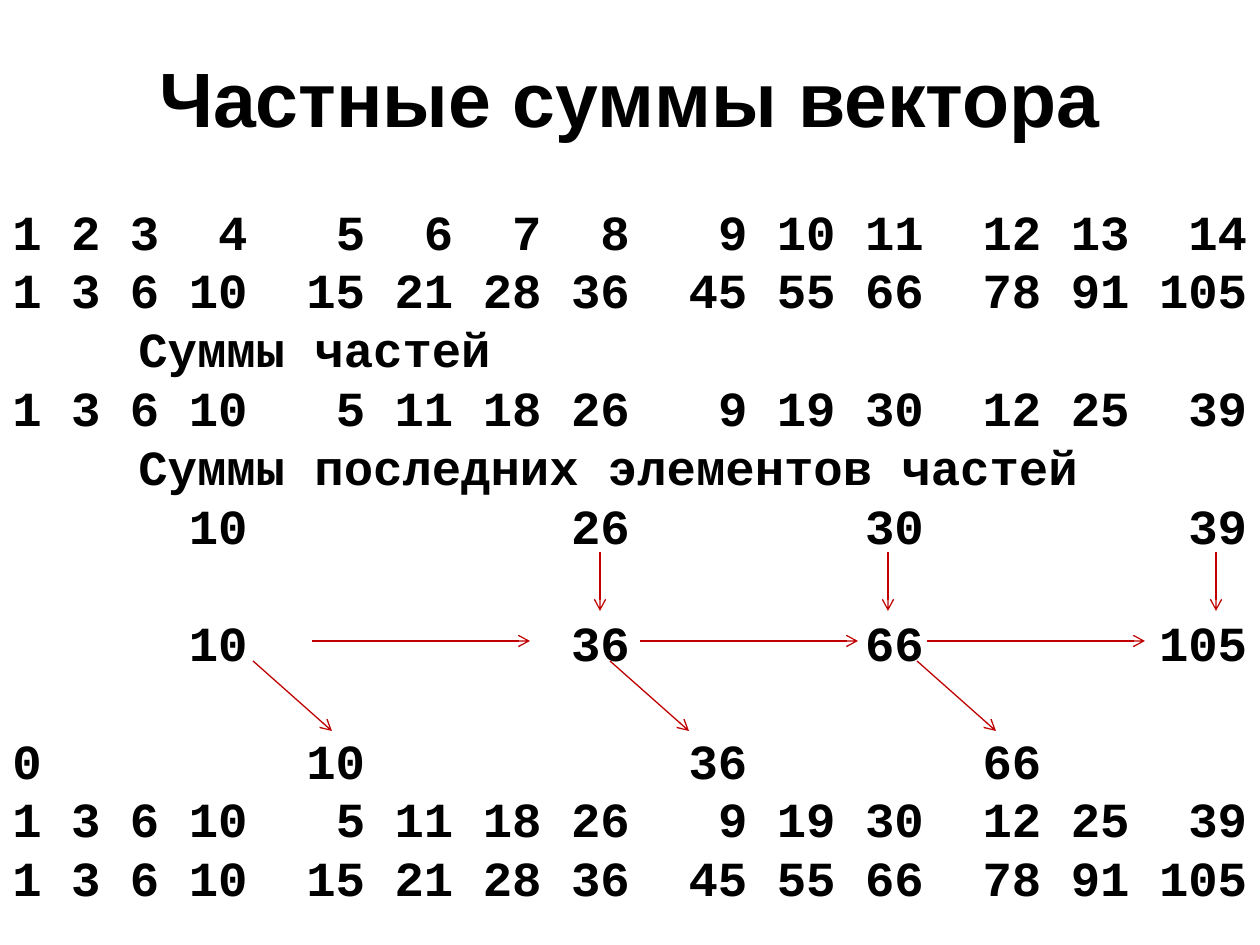
from pptx import Presentation
from pptx.dml.color import RGBColor
from pptx.enum import shapes, text
from pptx.oxml import parse_xml
from pptx.oxml.ns import nsdecls
from pptx.util import Emu, Pt

# Content
TITLE = "Частные суммы вектора"
VECTOR = "1 2 3 4 5 6 7 8 9 10 11 12 13 14".split()
PART_SUMS = "1 3 6 10 5 11 18 26 9 19 30 12 25 39".split()
TOTALS = "1 3 6 10 15 21 28 36 45 55 66 78 91 105".split()
# A row is a caption, a full list of values, or a dict of column: value
ROWS = [
    VECTOR,
    TOTALS,
    "Суммы частей",
    PART_SUMS,
    "Суммы последних элементов частей",
    {3: "10", 7: "26", 10: "30", 13: "39"},
    {3: "10", 7: "36", 10: "66", 13: "105"},
    {0: "0", 4: "10", 8: "36", 11: "66"},
    PART_SUMS,
    TOTALS,
]
ROWS_AFTER_GAP = (6, 7)

# Layout: right edge of each column, counted in characters
COLUMN_ENDS = [1, 3, 5, 8, 12, 15, 18, 21, 25, 28, 31, 35, 38, 42]
CHAR_WIDTH = Pt(16.8)
LINE_HEIGHT = Pt(33.6)
CAPTION_INDENT = 126

# Arrow groups: start points, then the shift to the end point
ARROWS = [
    ([(600, 552), (888, 552), (1216, 552)], (0, 59)),
    ([(253, 661), (610, 661), (917, 661)], (79, 70)),
    ([(312, 641), (640, 641), (927, 641)], (218, 0)),
]


def px(value):
    return Emu(round(value * 914400 / 126))


def color(hex_string):
    return RGBColor.from_string(hex_string)


def style(para, font_name, size):
    for span in para.runs:
        span.font.name = font_name
        span.font.size = Pt(size)
        span.font.bold = True
        span.font.color.rgb = color("000000")


def set_tabs(para, stops):
    tabs = "".join(f'<a:tab pos="{int(pos)}" algn="{align}"/>' for pos, align in stops)
    para._p.get_or_add_pPr().append(
        parse_xml(f'<a:tabLst {nsdecls("a")}>{tabs}</a:tabLst>'))


def fill_row(para, row):
    if isinstance(row, str):
        set_tabs(para, [(px(CAPTION_INDENT), "l")])
        para.text = "\t" + row
        return
    cells = row if isinstance(row, dict) else dict(enumerate(row))
    set_tabs(para, [(COLUMN_ENDS[column] * CHAR_WIDTH, "r") for column in cells if column])
    para.text = "".join(("\t" if column else "") + value for column, value in cells.items())


def add_arrow(page, start, shift):
    x, y = start
    arrow = page.shapes.add_connector(
        shapes.MSO_CONNECTOR.STRAIGHT, px(x), px(y), px(x + shift[0]), px(y + shift[1]))
    arrow.line.color.rgb = color("C00000")
    arrow.line.width = Pt(0.75)
    arrow.line._get_or_add_ln().append(
        parse_xml(f'<a:tailEnd {nsdecls("a")} type="arrow"/>'))
    arrow._element.spPr.append(parse_xml(f'<a:effectLst {nsdecls("a")}/>'))


deck = Presentation()
deck.slide_width, deck.slide_height = px(1260), px(945)
page = deck.slides.add_slide(deck.slide_layouts[5])

# Title
title = page.shapes.title
title.left, title.top, title.width, title.height = px(63), px(38), px(1134), px(117)
title.text_frame.text = TITLE
style(title.text_frame.paragraphs[0], "Arial", 44)

# Rows of numbers, aligned by tab stops
box = page.shapes.add_textbox(px(0), px(195), px(1260), px(720))
frame = box.text_frame
frame.word_wrap = True
frame.auto_size = text.MSO_AUTO_SIZE.SHAPE_TO_FIT_TEXT
frame.margin_right = 0
for index, row in enumerate(ROWS):
    para = frame.add_paragraph() if index else frame.paragraphs[0]
    fill_row(para, row)
    para.line_spacing = LINE_HEIGHT
    if index in ROWS_AFTER_GAP:
        para.space_before = LINE_HEIGHT
    style(para, "Courier New", 28)

# Arrows
for starts, shift in ARROWS:
    for start in starts:
        add_arrow(page, start, shift)

deck.save("out.pptx")
